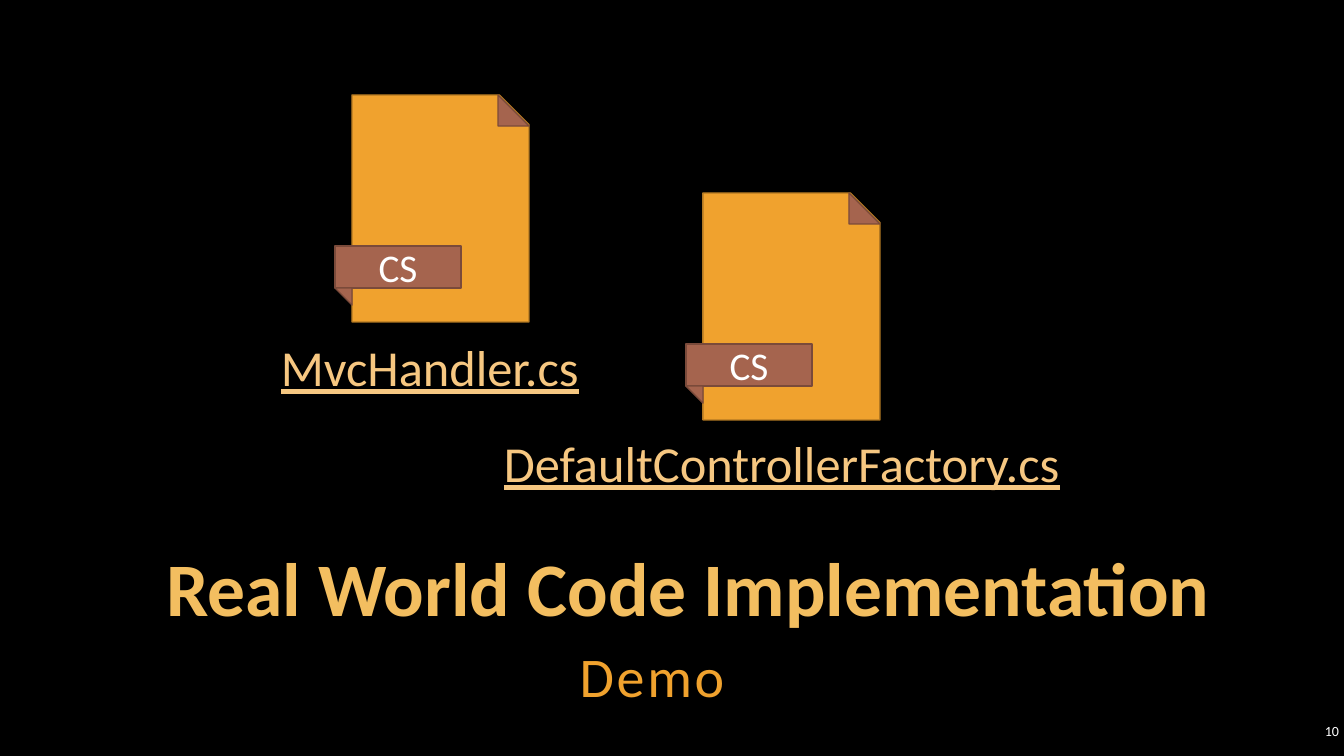
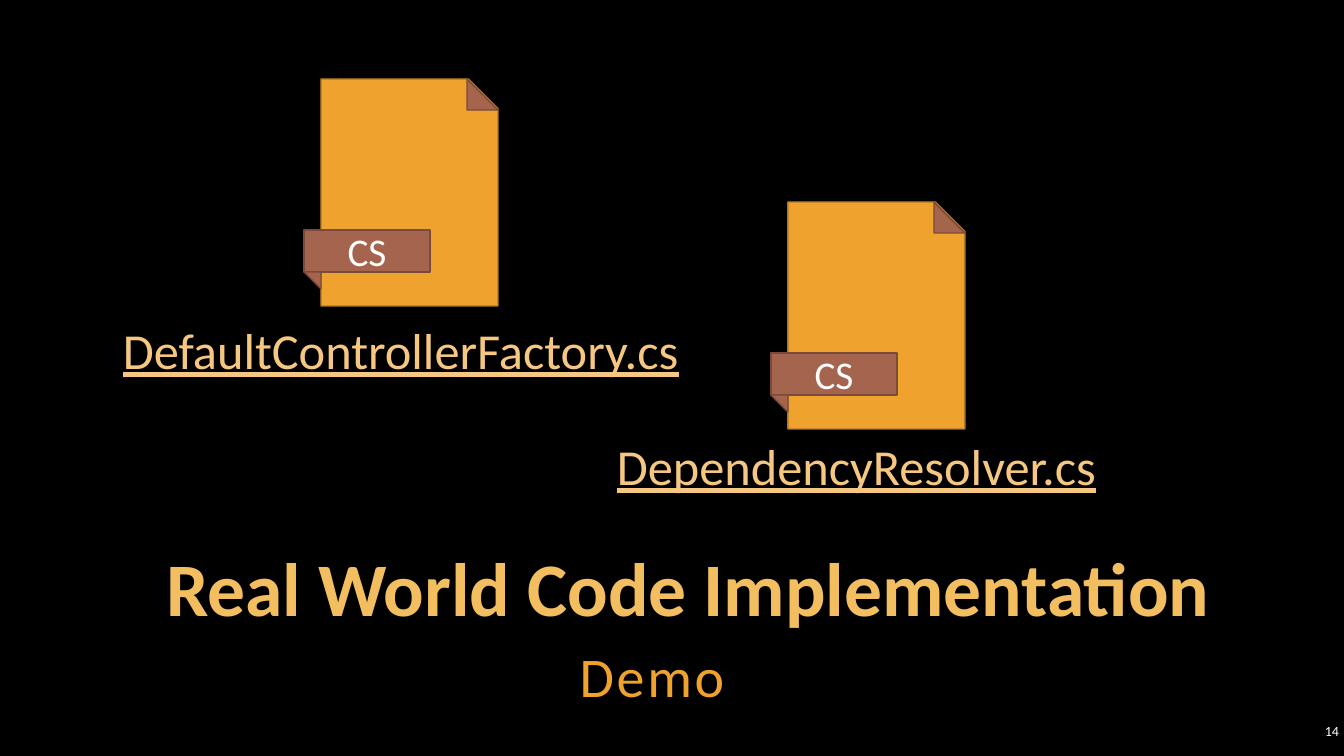
from pptx import Presentation
from pptx.dml.color import RGBColor
from pptx.enum.shapes import MSO_SHAPE
from pptx.enum.text import MSO_ANCHOR, PP_ALIGN
from pptx.util import Pt

PX = 914400 / 100.8
COLORS = {
    "background": "000000",
    "title": "F3BE60",
    "page": "F0A22E",
    "page_line": "B27822",
    "ribbon": "A5644E",
    "ribbon_line": "7A4A3A",
    "label": "F6C781",
    "white": "FFFFFF",
}
PAGE_WIDTH, PAGE_HEIGHT = 177, 227
FOLD = 31
RIBBON_WIDTH, RIBBON_HEIGHT = 126, 42
RIBBON_DROP = 151
RIBBON_TAIL = 17
LABEL_HEIGHT = 72

# Each file: page left and top, label left, top and width, label text
SLIDES = [
    ("10", [
        (352, 95, 271, 331, 378, "MvcHandler.cs"),
        (703, 193, 494, 427, 592, "DefaultControllerFactory.cs"),
    ]),
    ("14", [
        (788, 202, 607, 430, 539, "DependencyResolver.cs"),
        (321, 79, 113, 314, 592, "DefaultControllerFactory.cs"),
    ]),
]


def write_text(shape, text, size, color, align, anchor, inset=None):
    """Put one styled run into the shape and return its paragraph and run."""
    frame = shape.text_frame
    frame.word_wrap = True
    frame.vertical_anchor = anchor
    if inset is not None:
        frame.margin_left = frame.margin_right = round(inset * PX)
        frame.margin_top = frame.margin_bottom = round(inset * PX)
    paragraph = frame.paragraphs[0]
    paragraph.alignment = align
    run = paragraph.add_run()
    run.text = text
    run.font.name = "Calibri"
    run.font.size = Pt(size)
    run.font.color.rgb = RGBColor.from_string(COLORS[color])
    return paragraph, run


def add_filled_shape(shapes, kind, box, color):
    shape = shapes.add_shape(kind, *[round(length * PX) for length in box])
    shape.shadow.inherit = False
    shape.fill.solid()
    shape.fill.fore_color.rgb = RGBColor.from_string(COLORS[color])
    shape.line.color.rgb = RGBColor.from_string(COLORS[color + "_line"])
    shape.line.width = Pt(1)
    return shape


presentation = Presentation()
presentation.slide_width = round(1344 * PX)
presentation.slide_height = round(756 * PX)
background = presentation.slide_master.background.fill
background.solid()
background.fore_color.rgb = RGBColor.from_string(COLORS["background"])

for slide_number, files in SLIDES:
    slide = presentation.slides.add_slide(presentation.slide_layouts[6])

    title, subtitle, number = [
        slide.shapes.add_textbox(*[round(length * PX) for length in box])
        for box in [(159, 546, 1058, 91), (159, 634, 986, 76), (1296, 720, 47, 22)]
    ]
    paragraph, run = write_text(title, "Real World Code Implementation", 54, "title",
                                PP_ALIGN.CENTER, MSO_ANCHOR.BOTTOM, 4)
    paragraph.line_spacing = 0.9
    run.font.bold = True
    paragraph, run = write_text(subtitle, "Demo", 40, "page",
                                PP_ALIGN.CENTER, MSO_ANCHOR.TOP, 4)
    paragraph.line_spacing = 1.05
    paragraph.space_after = Pt(6)
    run._r.get_or_add_rPr().set("spc", "200")
    write_text(number, slide_number, 10, "white", PP_ALIGN.RIGHT, MSO_ANCHOR.MIDDLE, 4)

    for left, top, label_left, label_top, label_width, file_name in files:
        shapes = slide.shapes.add_group_shape().shapes
        ribbon_left = left - RIBBON_TAIL
        ribbon_top = top + RIBBON_DROP

        add_filled_shape(shapes, MSO_SHAPE.SNIP_1_RECTANGLE,
                         (left, top, PAGE_WIDTH, PAGE_HEIGHT), "page")
        add_filled_shape(shapes, MSO_SHAPE.RIGHT_TRIANGLE,
                         (left + PAGE_WIDTH - FOLD, top, FOLD, FOLD), "ribbon")
        ribbon = add_filled_shape(shapes, MSO_SHAPE.RECTANGLE,
                                  (ribbon_left, ribbon_top, RIBBON_WIDTH, RIBBON_HEIGHT),
                                  "ribbon")
        write_text(ribbon, "CS", 28, "white", PP_ALIGN.CENTER, MSO_ANCHOR.MIDDLE)
        tail = add_filled_shape(shapes, MSO_SHAPE.RIGHT_TRIANGLE,
                                (ribbon_left, ribbon_top + RIBBON_HEIGHT,
                                 RIBBON_TAIL, RIBBON_TAIL), "ribbon")
        tail.rotation = 180

        label_box = (label_left, label_top, label_width, LABEL_HEIGHT)
        label = shapes.add_textbox(*[round(length * PX) for length in label_box])
        paragraph, run = write_text(label, file_name, 36, "label",
                                    PP_ALIGN.LEFT, MSO_ANCHOR.TOP)
        run.font.underline = True

presentation.save("out.pptx")
